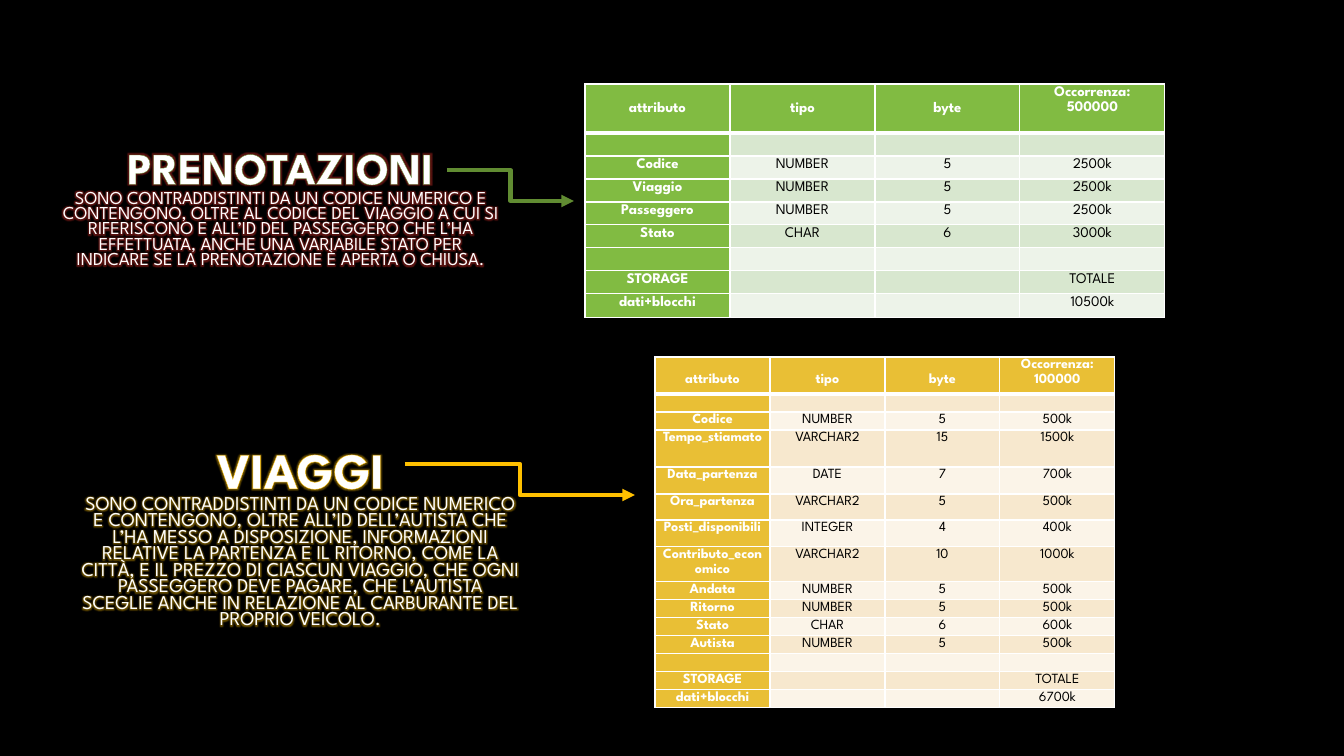
import pptx
import pptx.util
import pptx.dml.color
import pptx.enum.shapes
import pptx.enum.text
import pptx.oxml
import pptx.oxml.ns

PX = 914400 / 100.8
FONT = "League Spartan"
NS = pptx.oxml.ns.nsdecls("a")
CENTER = pptx.enum.text.PP_ALIGN.CENTER


def px(n):
    return pptx.util.Emu(round(n * PX))


def rgb(color):
    return pptx.dml.color.RGBColor.from_string(color)


prs = pptx.Presentation()
prs.slide_width, prs.slide_height = px(1344), px(756)
s = prs.slides.add_slide(prs.slide_layouts[5])
s.background.fill.solid()
s.background.fill.fore_color.rgb = rgb("000000")

# Tables: one per entity, blank rows before and after the attributes
tables = [
    {"at": (585, 84), "col": 145, "rows": [49] + [23] * 7 + [24], "inset": 7, "drop": 16,
     "size": 10.5, "colors": ("81BB42", "D8E7CF", "EDF3E9"), "count": "500000", "total": "10500k",
     "attributes": [
         ("Codice", "NUMBER", "5", "2500k"),
         ("Viaggio", "NUMBER", "5", "2500k"),
         ("Passeggero", "NUMBER", "5", "2500k"),
         ("Stato", "CHAR", "6", "3000k")]},
    {"at": (655, 357), "col": 115, "rows": [37, 18, 18, 37, 27, 26, 27, 35] + [18] * 7, "inset": 6,
     "drop": 15, "size": 10, "colors": ("E9BF35", "F7E8CE", "FBF4E8"), "count": "100000",
     "total": "6700k",
     "attributes": [
         ("Codice", "NUMBER", "5", "500k"),
         ("Tempo_stiamato", "VARCHAR2", "15", "1500k"),
         ("Data_partenza", "DATE", "7", "700k"),
         ("Ora_partenza", "VARCHAR2", "5", "500k"),
         ("Posti_disponibili", "INTEGER", "4", "400k"),
         ("Contributo_economico", "VARCHAR2", "10", "1000k"),
         ("Andata", "NUMBER", "5", "500k"),
         ("Ritorno", "NUMBER", "5", "500k"),
         ("Stato", "CHAR", "6", "600k"),
         ("Autista", "NUMBER", "5", "500k")]},
]
for t in tables:
    blank = ("",) * 4
    data = [("attributo", "tipo", "byte", "Occorrenza: " + t["count"]), blank, *t["attributes"],
            blank, ("STORAGE", "", "", "TOTALE"), ("dati+blocchi", "", "", t["total"])]
    table = s.shapes.add_table(len(data), 4, px(t["at"][0]), px(t["at"][1]),
                               px(4 * t["col"]), px(sum(t["rows"]))).table
    table.first_row = table.horz_banding = False
    for column in table.columns:
        column.width = px(t["col"])
    for i, values in enumerate(data):
        table.rows[i].height = px(t["rows"][i])
        for j, value in enumerate(values):
            cell = table.cell(i, j)
            strong = i == 0 or j == 0
            drop = t["drop"] if i == 0 and j < 3 else 0
            margins = {"margin_left": px(t["inset"]), "margin_right": px(t["inset"]),
                       "margin_top": px(drop), "margin_bottom": 0}
            for name, margin in margins.items():
                setattr(cell, name, margin)
            cell.fill.solid()
            cell.fill.fore_color.rgb = rgb(t["colors"][0 if strong else 2 - i % 2])
            p = cell.text_frame.paragraphs[0]
            p.alignment, p.line_spacing = CENTER, 1.15
            if value:
                r = p.add_run()
                r.text = value
                for name, setting in {"name": FONT, "size": pptx.util.Pt(t["size"]),
                                      "bold": strong}.items():
                    setattr(r.font, name, setting)
                r.font.color.rgb = rgb("FFFFFF" if strong else "000000")
            else:
                p._p.append(pptx.oxml.parse_xml(
                    f'<a:endParaRPr {NS} sz="{round(t["size"] * 100)}"/>'))
            # White borders, thicker under the header
            for k, side in enumerate("LRTB"):
                width = 3 if (i, side) in ((0, "B"), (1, "T")) else 1
                cell._tc.tcPr.insert(k, pptx.oxml.parse_xml(
                    f'<a:ln{side} {NS} w="{width * 12700}"><a:solidFill>'
                    f'<a:srgbClr val="FFFFFF"/></a:solidFill></a:ln{side}>'))

# Entity names with their descriptions
entities = [
    (s.shapes.title, (51, 124), 20, "618C32", "DF2E28", "PRENOTAZIONI", 31.9, 13,
     "SONO CONTRADDISTINTI DA UN CODICE NUMERICO E CONTENGONO, OLTRE AL CODICE DEL VIAGGIO A CUI "
     "SI RIFERISCONO E ALL’ID DEL PASSEGGERO CHE L’HA EFFETTUATA, ANCHE UNA VARIABILE STATO PER "
     "INDICARE SE LA PRENOTAZIONE È APERTA O CHIUSA."),
    (s.shapes.add_textbox(0, 0, 0, 0), (71, 460), 31, "FFC000", "FFC000", "VIAGGI", 36, 14,
     "SONO CONTRADDISTINTI DA UN CODICE NUMERICO E CONTENGONO, OLTRE ALL’ID DELL’AUTISTA CHE "
     "L’HA MESSO A DISPOSIZIONE, INFORMAZIONI RELATIVE LA PARTENZA E IL RITORNO, COME LA CITTÀ, "
     "E IL PREZZO DI CIASCUN VIAGGIO, CHE OGNI PASSEGGERO DEVE PAGARE, CHE L’AUTISTA SCEGLIE "
     "ANCHE IN RELAZIONE AL CARBURANTE DEL PROPRIO VEICOLO."),
]
for sp, (x, y), bottom, outline, glow, name, name_size, size, description in entities:
    sp.left, sp.top, sp.width, sp.height = px(x), px(y), px(459), px(190)
    tf = sp.text_frame
    for key, setting in {"word_wrap": True, "auto_size": pptx.enum.text.MSO_AUTO_SIZE.NONE,
                         "vertical_anchor": pptx.enum.text.MSO_ANCHOR.MIDDLE,
                         "margin_bottom": px(bottom)}.items():
        setattr(tf, key, setting)
    lines = [(tf.paragraphs[0], name, name_size, True, glow),
             (tf.add_paragraph(), description, size, False, "DF2E28")]
    for p, text, points, bold, halo in lines:
        p.alignment, p.line_spacing = CENTER, 0.7
        r = p.add_run()
        r.text = text
        for key, setting in {"size": pptx.util.Pt(points), "bold": bold}.items():
            setattr(r.font, key, setting)
        r.font.color.rgb = rgb("FFFFFF")
        rPr = r.font._element
        rPr.append(pptx.oxml.parse_xml(
            f'<a:effectLst {NS}><a:glow rad="38100"><a:srgbClr val="{halo}">'
            f'<a:alpha val="40000"/></a:srgbClr></a:glow></a:effectLst>'))
        r.font.name = FONT
        if bold:
            rPr.insert(0, pptx.oxml.parse_xml(
                f'<a:ln {NS} w="22225"><a:solidFill><a:srgbClr val="{outline}"/>'
                f'</a:solidFill></a:ln>'))

# Elbow arrows from each name to its table
for x1, y1, x2, y2, color in [(447, 170, 574, 201, "618C32"), (405, 464, 635, 495, "FFC000")]:
    arrow = s.shapes.add_connector(pptx.enum.shapes.MSO_CONNECTOR.ELBOW,
                                   px(x1), px(y1), px(x2), px(y2))
    arrow.line.color.rgb = rgb(color)
    arrow.line.width = pptx.util.Pt(3)
    arrow.line._get_or_add_ln().append(pptx.oxml.parse_xml(f'<a:tailEnd {NS} type="triangle"/>'))
    arrow._element.spPr.append(pptx.oxml.parse_xml(f"<a:effectLst {NS}/>"))

prs.save("out.pptx")
